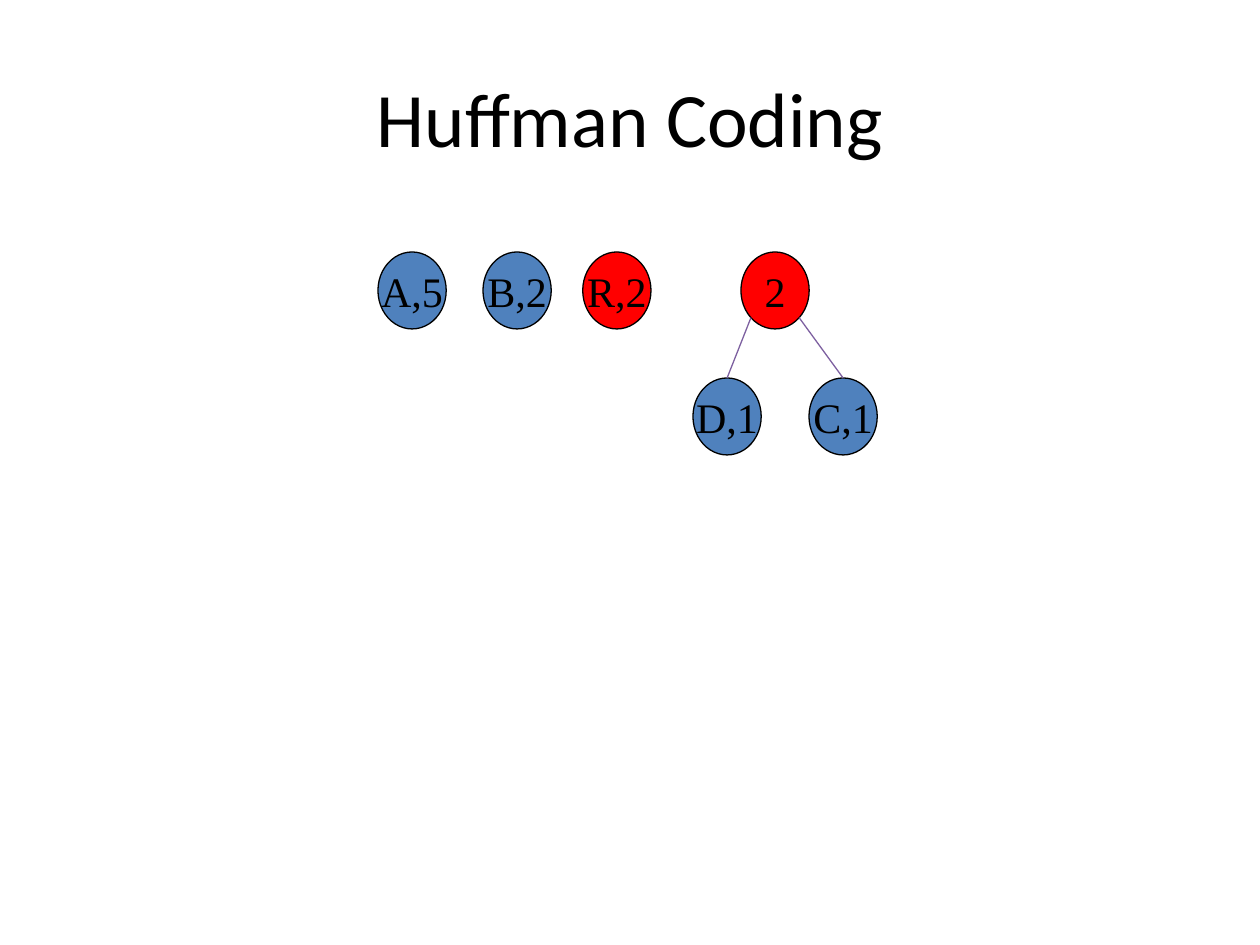
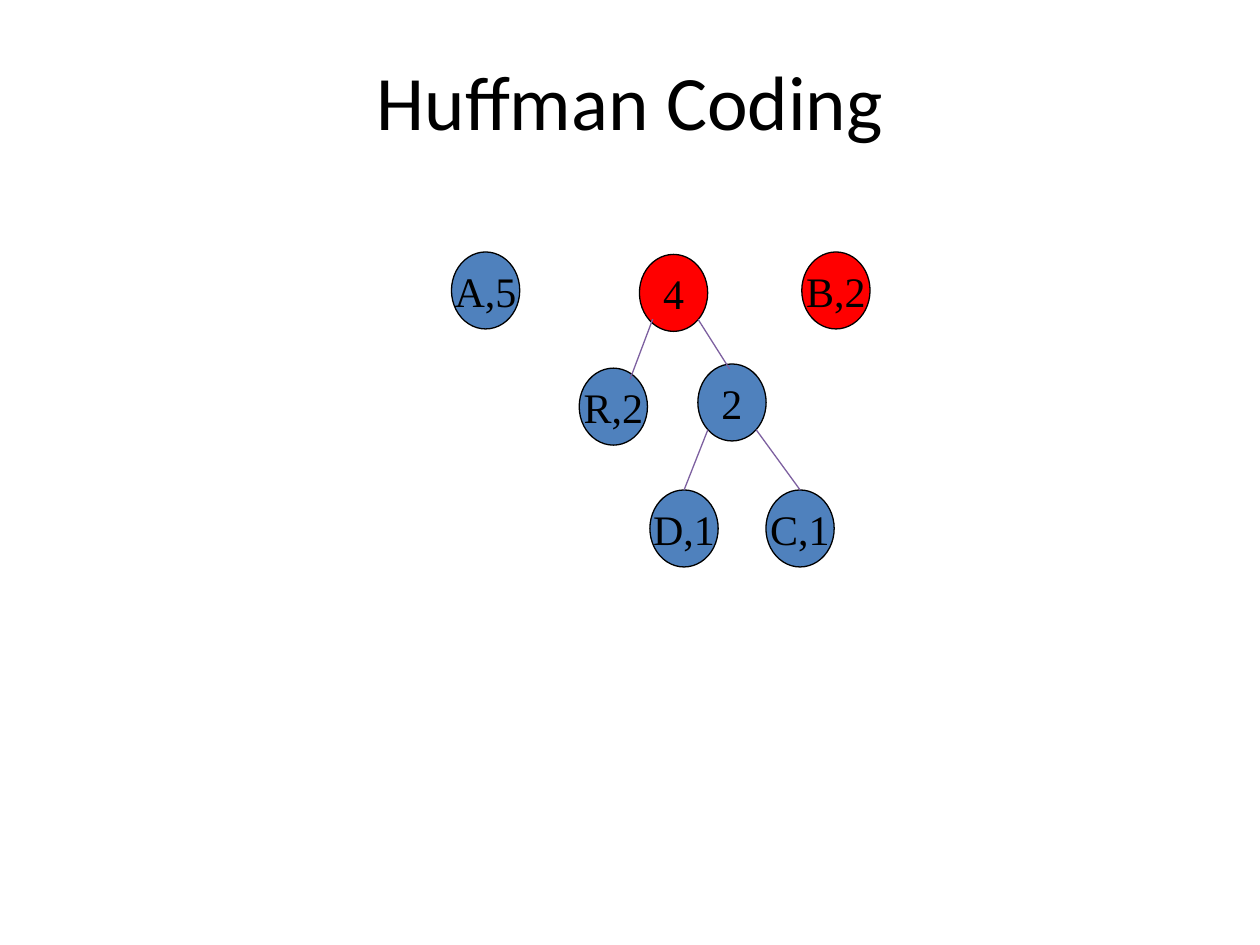
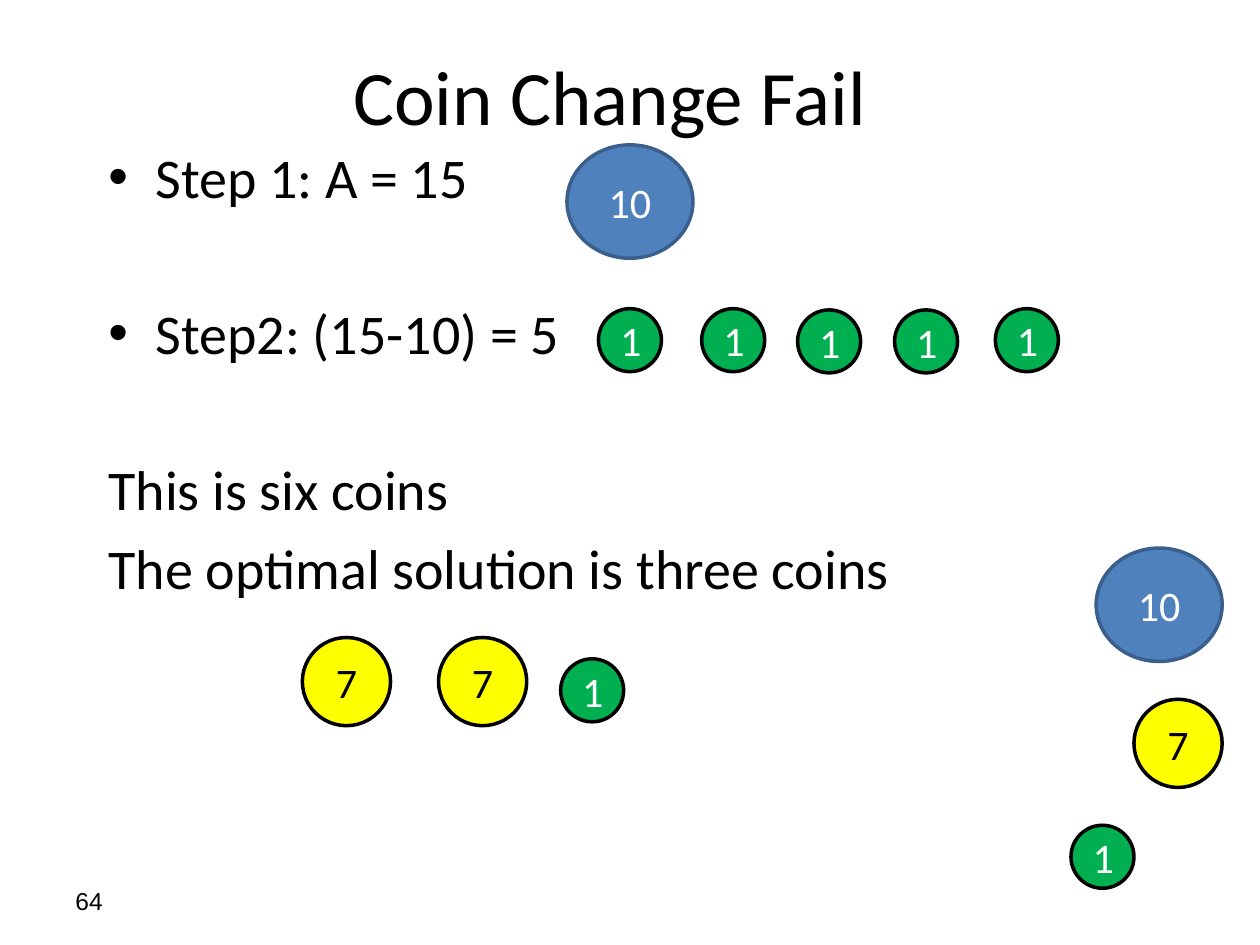
from dataclasses import dataclass
from math import sqrt

from pptx import Presentation
from pptx.dml.color import RGBColor
from pptx.enum.shapes import MSO_CONNECTOR as Link, MSO_SHAPE as Form
from pptx.enum.text import MSO_ANCHOR as Anchor, MSO_AUTO_SIZE as Fit, PP_ALIGN as Align
from pptx.oxml.ns import qn
from pptx.util import Pt
from lxml.etree import SubElement


@dataclass(frozen=True)
class Theme:
    black: str = "000000"
    white: str = "FFFFFF"
    blue: str = "4F81BD"
    navy: str = "3A5F8C"
    red: str = "FF0000"
    green: str = "00B050"
    yellow: str = "FFFF00"
    violet: str = "7D60A0"
    sans: str = "Calibri"
    serif: str = "Times New Roman"
    plain: str = "Arial"
    head: int = 44
    body: int = 32
    mark: int = 24
    foot: int = 14
    thin: float = 0.75
    thick: float = 2


@dataclass(frozen=True)
class Box:
    x: float
    y: float
    w: float
    h: float

    def lengths(self):
        return [Pt(v) for v in (self.x, self.y, self.w, self.h)]


T = Theme()
NODE_W, NODE_H = 39, 44
DIAG = (1 - sqrt(0.5)) / 2  # inset of an ellipse's diagonal point
LINE_GAP = 50.7             # space before a line that starts a new step

# coin value: width, height, fill, outline, text colour
COINS = {
    10: (72, 64.8, T.blue, T.navy, T.white),
    7: (50.4, 50.4, T.yellow, T.black, T.black),
    1: (36, 36, T.green, T.black, T.white),
}


def write(para, text, size=T.mark, font=T.sans, color=T.black, align=None, gap=None):
    run = para.add_run()
    run.text = text
    run.font.size = Pt(size)
    run.font.name = font
    run.font.color.rgb = RGBColor.from_string(color)
    if align is not None:
        para.alignment = align
    if gap is not None:
        para.space_before = Pt(gap)


def place(shape, box):
    shape.left, shape.top, shape.width, shape.height = box.lengths()
    shape.text_frame.auto_size = Fit.NONE


def title(slide, text, box):
    shape = slide.shapes.title
    place(shape, box)
    write(shape.text_frame.paragraphs[0], text, size=T.head, align=Align.CENTER)


def disc(slide, text, box, fill, line, width, wrap=True, **fmt):
    shape = slide.shapes.add_shape(Form.OVAL, *box.lengths())
    shape.shadow.inherit = False
    shape.fill.solid()
    shape.fill.fore_color.rgb = RGBColor.from_string(fill)
    shape.line.color.rgb = RGBColor.from_string(line)
    shape.line.width = Pt(width)
    frame = shape.text_frame
    frame.word_wrap = wrap
    frame.vertical_anchor = Anchor.MIDDLE
    write(frame.paragraphs[0], text, align=Align.CENTER, **fmt)
    return shape


def node(slide, text, x, y, fill=T.blue):
    return disc(slide, text, Box(x, y, NODE_W, NODE_H), fill, T.black, T.thin,
                wrap=False, font=T.serif)


def edge(slide, start, end):
    line = slide.shapes.add_connector(Link.STRAIGHT, *[Pt(v) for v in (*start, *end)])
    line.line.color.rgb = RGBColor.from_string(T.violet)
    line.line.width = Pt(T.thin)
    SubElement(line._element.spPr, qn("a:effectLst"))
    return line


def pair(slide, x, y, fill=T.blue):
    """Tree of weight 2 with the leaves D and C, its root at x, y."""
    node(slide, "2", x, y, fill)
    for text, dx, side in (("D,1", -27.4, DIAG), ("C,1", 38.9, 1 - DIAG)):
        leaf = node(slide, text, x + dx, y + 72)
        start = x + side * NODE_W, y + (1 - DIAG) * NODE_H
        edge(slide, start, (x + dx + NODE_W / 2, y + 72)).end_connect(leaf, 0)


def first_merge(slide, box):
    for text, dx, fill in (("A,5", 0, T.blue), ("B,2", 60, T.blue), ("R,2", 117, T.red)):
        node(slide, text, box.x + dx, box.y, fill)
    pair(slide, box.x + 207.4, box.y, T.red)


def second_merge(slide, box):
    x, y = box.x, box.y
    node(slide, "A,5", x, y)
    node(slide, "B,2", x + 200.2, y, T.red)
    node(slide, "R,2", x + 73, y + 66.4)
    pair(slide, x + 140.8, y + 64)
    node(slide, "4", x + 107.4, y + 1.4, T.red)
    edge(slide, (x + 115, y + 38.4), (x + 102, y + 72.8))
    edge(slide, (x + 141, y + 38.6), (x + 159, y + 67))


def coin(slide, value, x, y):
    w, h, fill, line, color = COINS[value]
    disc(slide, str(value), Box(x, y, w, h), fill, line, T.thick, color=color)


def steps(slide, box):
    shape = slide.placeholders[1]
    place(shape, box)
    frame = shape.text_frame
    rows = (
        ("Step 1: A = 15", True, None),
        ("Step2: (15-10) = 5", True, LINE_GAP),
        ("This is six coins", False, LINE_GAP),
        ("The optimal solution is three coins", False, None),
    )
    for i, (text, bullet, gap) in enumerate(rows):
        para = frame.add_paragraph() if i else frame.paragraphs[0]
        write(para, text, size=T.body, gap=gap)
        if not bullet:
            props = para._p.get_or_add_pPr()
            props.set("marL", "0")
            props.set("indent", "0")
            SubElement(props, qn("a:buNone"))


def greedy(slide, box):
    coin(slide, 10, box.x, box.y)
    for dx, dy in ((18, 93.6), (77, 93.6), (131.8, 94.3), (187.2, 94.3), (244.8, 93.6)):
        coin(slide, 1, box.x + dx, box.y + dy)


def best(slide, box):
    for value, dx, dy in ((7, 0, 0), (7, 77.8, 0), (1, 147.6, 12.2)):
        coin(slide, value, box.x + dx, box.y + dy)


def supply(slide, box):
    for value, dx, dy in ((10, 14.4, 0), (7, 36, 86.4), (1, 0, 158.4)):
        coin(slide, value, box.x + dx, box.y + dy)


def number(slide, text, box):
    shape = slide.shapes.add_textbox(*box.lengths())
    frame = shape.text_frame
    frame.word_wrap = True
    frame.vertical_anchor = Anchor.MIDDLE
    write(frame.paragraphs[0], text, size=T.foot, font=T.plain)


def tree_slide(deck, head, draw, area):
    slide = deck.slides.add_slide(deck.slide_layouts[5])
    title(slide, "Huffman Coding", head)
    draw(slide, area)


def coin_slide(deck):
    slide = deck.slides.add_slide(deck.slide_layouts[1])
    number(slide, "64", Box(36, 500.4, 168, 28.8))
    title(slide, "Coin Change Fail", Box(42, 24, 613, 60))
    steps(slide, Box(54.7, 78, 630, 408))
    supply(slide, Box(612, 313.2, 86.4, 194.4))
    greedy(slide, Box(324, 82.8, 281, 130))
    best(slide, Box(172.8, 364.3, 184, 50.4))


def main():
    deck = Presentation()
    deck.slide_width, deck.slide_height = Pt(720), Pt(540)
    tree_slide(deck, Box(36, 21.6, 648, 90), first_merge, Box(216, 144, 285, 116))
    tree_slide(deck, Box(54, 12, 612, 90), second_merge, Box(258, 144, 239, 180))
    coin_slide(deck)
    deck.save("out.pptx")


if __name__ == "__main__":
    main()
